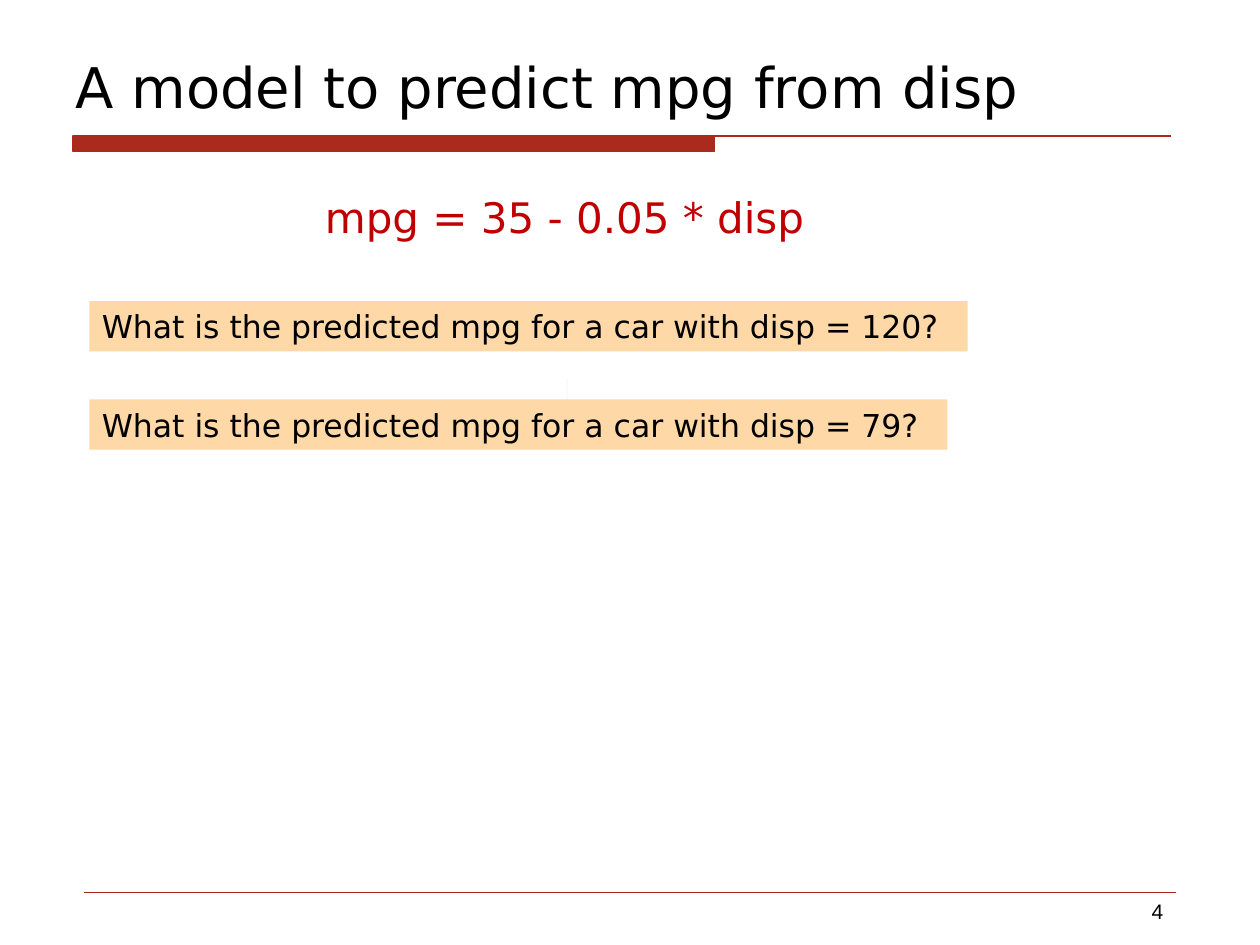
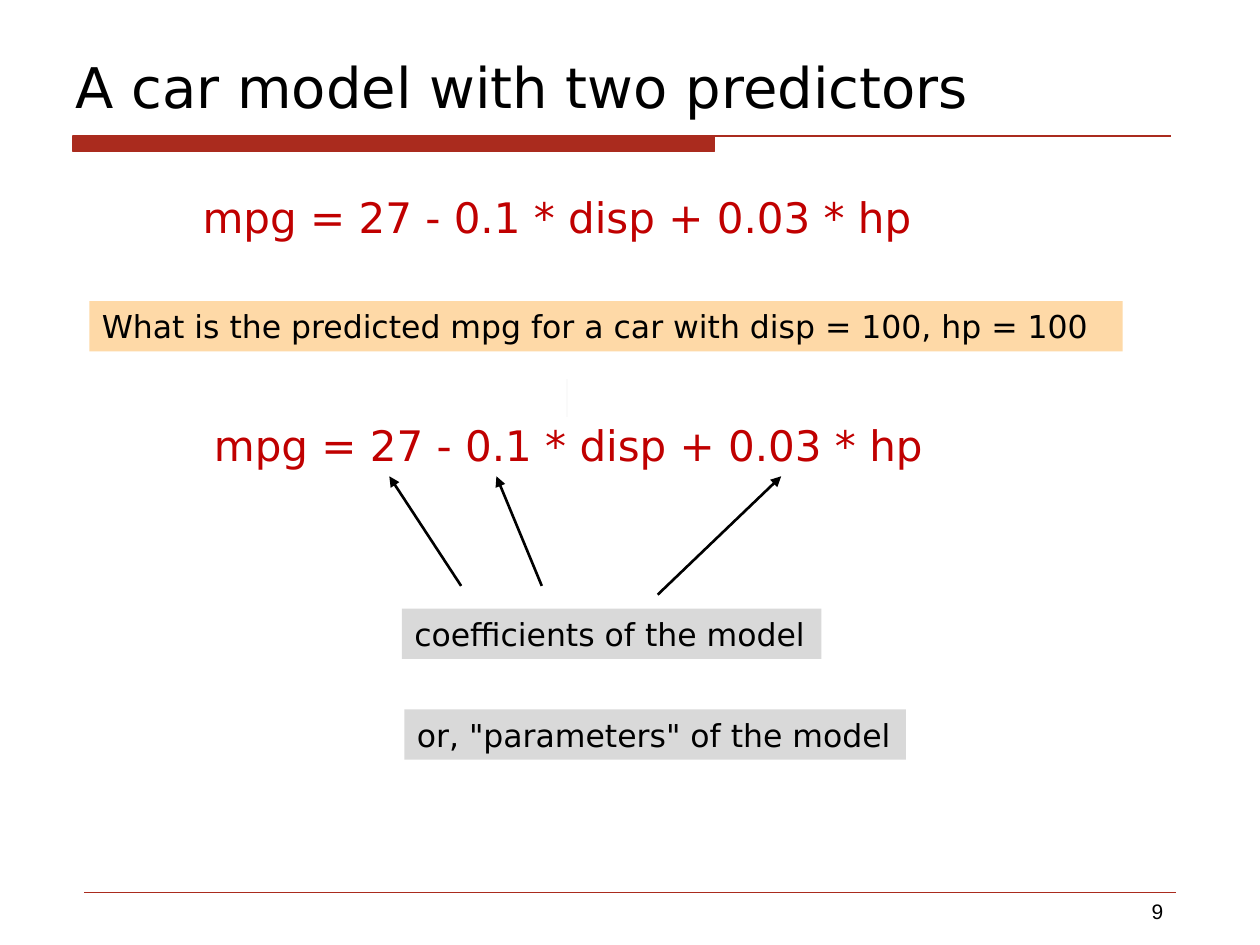
import pptx
import pptx.dml.color
import pptx.enum.shapes
import pptx.enum.text
import pptx.oxml
import pptx.oxml.ns
import pptx.util

PX = 9144  # EMU in one px, at 100 px to the inch
COLOURS = {
    "accent": "AA2B1E",
    "ink": "000000",
    "equation": "C00000",
    "question": "FED9A7",
    "note": "D9D9D9",
}
ALIGN = pptx.enum.text.PP_ALIGN
ANCHOR = pptx.enum.text.MSO_ANCHOR
RECTANGLE = pptx.enum.shapes.MSO_SHAPE.RECTANGLE
STRAIGHT = pptx.enum.shapes.MSO_CONNECTOR.STRAIGHT

FORMATS = {
    "title": {"size": 32, "name": "DejaVu Sans", "colour": "ink"},
    "equation": {"size": 24, "name": "DejaVu Sans", "colour": "equation"},
    "label": {"size": 18, "name": "DejaVu Sans", "colour": "ink"},
    "number": {"size": 12, "name": "Arial", "colour": "ink"},
}


def rgb(name):
    return pptx.dml.color.RGBColor.from_string(COLOURS[name])


def px(*lengths):
    return [pptx.util.Emu(length * PX) for length in lengths]


def write(shape, text, style, align=ALIGN.LEFT, anchor=ANCHOR.TOP):
    frame = shape.text_frame
    settings = {"word_wrap": True, "vertical_anchor": anchor}
    for name, value in settings.items():
        setattr(frame, name, value)
    para = frame.paragraphs[0]
    para.alignment = align
    span = para.add_run()
    span.text = text
    look = FORMATS[style]
    font = {"size": pptx.util.Pt(look["size"]), "name": look["name"]}
    for name, value in font.items():
        setattr(span.font, name, value)
    span.font.color.rgb = rgb(look["colour"])


def add_text(page, box, text, style, **placing):
    write(page.shapes.add_textbox(*px(*box)), text, style, **placing)


def add_panel(page, box, colour):
    panel = page.shapes.add_shape(RECTANGLE, *px(*box))
    panel.shadow.inherit = False
    panel.fill.solid()
    panel.fill.fore_color.rgb = rgb(colour)
    panel.line.fill.background()
    return panel


def add_label(page, box, text, colour):
    write(add_panel(page, box, colour), text, "label")


def add_line(page, start, end, colour, width, arrow=False):
    line = page.shapes.add_connector(STRAIGHT, *px(*start, *end))
    line.line.color.rgb = rgb(colour)
    line.line.width = pptx.util.Pt(width)
    properties = line.element.spPr
    if arrow:
        stroke = properties.find(pptx.oxml.ns.qn("a:ln"))
        stroke.append(pptx.oxml.parse_xml(
            f'<a:tailEnd {pptx.oxml.ns.nsdecls("a")} type="triangle"/>'))
    properties.append(pptx.oxml.parse_xml(
        f'<a:effectLst {pptx.oxml.ns.nsdecls("a")}/>'))


def add_title_rule(page, box):
    """Thick band under the title, drawn on as a thin rule to the right."""
    left, top, width, height = box
    band_right = left + 509
    builder = page.shapes.build_freeform(left, top, scale=PX)
    builder.add_line_segments(
        [(band_right, top), (band_right, top + height), (left, top + height)])
    builder.move_to(left, top)
    builder.add_line_segments([(left + width, top)], close=False)
    rule = builder.convert_to_shape()
    rule.shadow.inherit = False
    rule.fill.solid()
    rule.fill.fore_color.rgb = rgb("accent")
    rule.line.color.rgb = rgb("accent")
    rule.line.width = pptx.util.Pt(0.75)


def add_footer(page, box, number):
    left, top, width, height = box
    add_line(page, (left, top), (left + width, top), "accent", 0.25)
    number_width = 217
    number_box = (left + width - number_width, top, number_width, height)
    add_text(page, number_box, number, "number", align=ALIGN.RIGHT)


def add_page(deck, title, number):
    page = deck.slides.add_slide(deck.slide_layouts[6])
    add_title_rule(page, (58, 108, 871, 12))
    add_footer(page, (67, 708, 866, 27), number)
    add_text(page, (50, 25, 875, 75), title, "title", anchor=ANCHOR.BOTTOM)
    add_panel(page, (450, 301, 0, 30), "note")
    return page


def add_questions(page, left, top, questions):
    """Stack questions, each given as its text and panel width."""
    pitch = 78
    for row, (text, width) in enumerate(questions):
        add_label(page, (left, top + row * pitch, width, 40), text, "question")


def add_coefficients(page, box, equation):
    """Equation with arrows that lead from its explanation to its numbers."""
    left, top, width, height = box
    add_text(page, box, equation, "equation")
    add_label(page, (left + 159, top + 155, 333, 40),
              "coefficients of the model", "note")
    tip_y = top + height
    for tail_x, tail_y, tip_x in [(206, 137, 149), (270, 137, 234), (362, 144, 460)]:
        add_line(page, (left + tail_x, top + tail_y), (left + tip_x, tip_y),
                 "ink", 1.5, arrow=True)
    add_label(page, (left + 161, top + 235, 398, 40),
              'or, "parameters" of the model', "note")


def one_predictor(deck):
    page = add_page(deck, "A model to predict mpg from disp", "4")
    add_text(page, (248, 147, 419, 50), "mpg = 35 - 0.05 * disp", "equation")
    question = "What is the predicted mpg for a car with disp = {}?"
    add_questions(page, 71, 239,
                  [(question.format(120), 697), (question.format(79), 681)])


def two_predictors(deck):
    page = add_page(deck, "A car model with two predictors", "9")
    equation = "mpg = 27 - 0.1 * disp + 0.03 * hp"
    add_text(page, (151, 147, 613, 50), equation, "equation")
    question = "What is the predicted mpg for a car with disp = 100, hp = 100"
    add_questions(page, 71, 239, [(question, 820)])
    add_coefficients(page, (160, 328, 613, 50), equation)


def main():
    deck = pptx.Presentation()
    deck.slide_width, deck.slide_height = px(1000, 750)
    one_predictor(deck)
    two_predictors(deck)
    deck.save("out.pptx")


if __name__ == "__main__":
    main()
